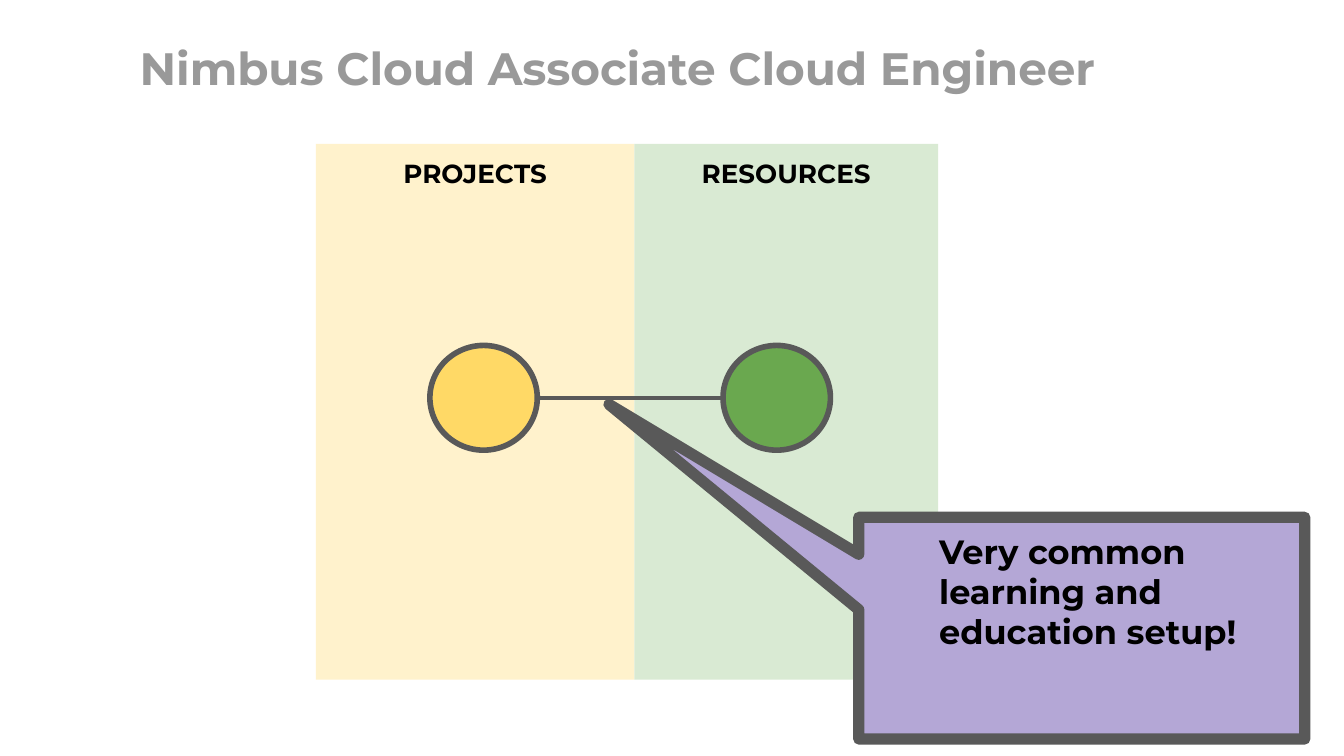
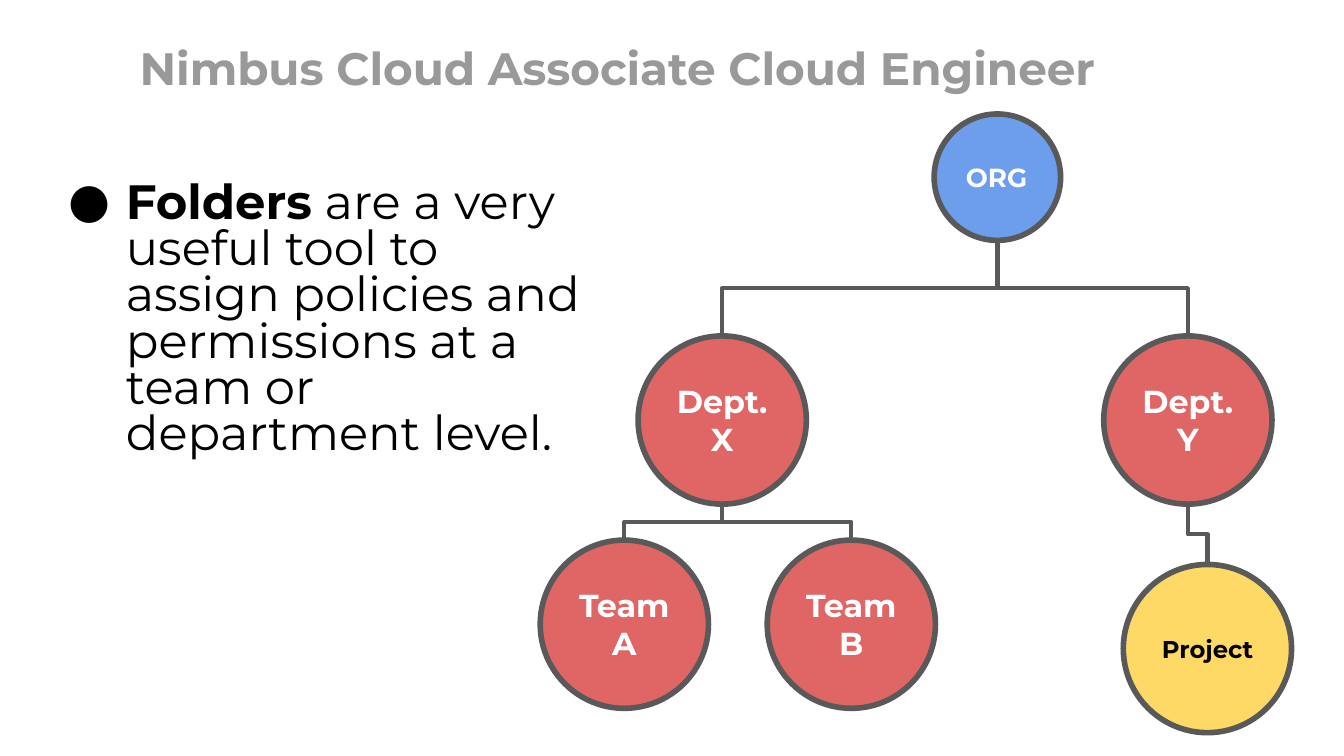
from lxml.etree import SubElement
from pptx import Presentation
from pptx.dml.color import RGBColor
from pptx.enum.shapes import MSO_CONNECTOR, MSO_SHAPE
from pptx.enum.text import MSO_ANCHOR, MSO_AUTO_SIZE, PP_ALIGN
from pptx.oxml.ns import qn
from pptx.util import Cm, Pt

FONT = "Montserrat"
TITLE = "Nimbus Cloud Associate Cloud Engineer"
BLACK = RGBColor(0x00, 0x00, 0x00)
WHITE = RGBColor(0xFF, 0xFF, 0xFF)
TITLE_GRAY = RGBColor(0x99, 0x99, 0x99)
OUTLINE = RGBColor(0x59, 0x59, 0x59)
CREAM = RGBColor(0xFF, 0xF2, 0xCC)
PALE_GREEN = RGBColor(0xD9, 0xEA, 0xD3)
YELLOW = RGBColor(0xFF, 0xD9, 0x66)
GREEN = RGBColor(0x6A, 0xA8, 0x4F)
PURPLE = RGBColor(0xB4, 0xA7, 0xD6)
BLUE = RGBColor(0x6D, 0x9E, 0xEB)
RED = RGBColor(0xE0, 0x66, 0x66)


class SlideBuilder:
    def __init__(self, deck):
        self.deck = deck
        self.page = None

    def new_page(self):
        self.page = self.deck.slides.add_slide(self.deck.slide_layouts[5])
        title = self.page.shapes.title
        title.left, title.top = Cm(2.39), Cm(0.43)
        title.width, title.height = Cm(21.64), Cm(1.6)
        self.set_frame(title, MSO_ANCHOR.BOTTOM)
        self.add_spans(title.text_frame.paragraphs[0], [(TITLE, True)], 24.3, TITLE_GRAY)

    def set_frame(self, box, anchor):
        frame = box.text_frame
        frame.word_wrap = True
        frame.auto_size = MSO_AUTO_SIZE.NONE
        frame.vertical_anchor = anchor
        frame.margin_left = frame.margin_right = Cm(0.25)
        frame.margin_top = frame.margin_bottom = Cm(0.25)

    def add_spans(self, para, spans, size, color, align=PP_ALIGN.LEFT):
        """Fill a paragraph from (text, bold) pairs."""
        para.alignment = align
        for text, bold in spans:
            span = para.add_run()
            span.text = text
            span.font.name = FONT
            span.font.size = Pt(size)
            span.font.bold = bold
            span.font.color.rgb = color

    def set_outline(self, line, width):
        line.color.rgb = OUTLINE
        line.width = Pt(width)
        SubElement(line._get_or_add_ln(), qn("a:round"))

    def shape(self, kind, left, top, width, height, fill, line=0, lines=(), size=14,
              color=BLACK, align=PP_ALIGN.CENTER, anchor=MSO_ANCHOR.TOP):
        shape = self.page.shapes.add_shape(kind, Cm(left), Cm(top), Cm(width), Cm(height))
        shape.shadow.inherit = False
        shape.fill.solid()
        shape.fill.fore_color.rgb = fill
        if line:
            self.set_outline(shape.line, line)
        else:
            shape.line.fill.background()
        self.set_frame(shape, anchor)
        frame = shape.text_frame
        for index, text in enumerate(lines):
            para = frame.add_paragraph() if index else frame.paragraphs[0]
            self.add_spans(para, [(text, True)], size, color, align)
        return shape

    def panel(self, left, width, fill, heading):
        self.shape(MSO_SHAPE.RECTANGLE, left, 2.72, width, 10.13, fill, lines=[heading])

    def circle(self, center, width, height, fill, **text):
        x, y = center
        self.shape(MSO_SHAPE.OVAL, x - width / 2, y - height / 2, width, height, fill,
                   line=3, anchor=MSO_ANCHOR.MIDDLE, **text)

    def elbow(self, x1, y1, x2, y2):
        connector = self.page.shapes.add_connector(
            MSO_CONNECTOR.ELBOW, Cm(x1), Cm(y1), Cm(x2), Cm(y2))
        self.set_outline(connector.line, 2.25)
        SubElement(connector._element.spPr, qn("a:effectLst"))
        return connector

    def branch(self, x1, y1, x2, y2):
        """Draw an elbow that leaves downwards: a sideways one, turned a quarter."""
        mid_x, mid_y = (x1 + x2) / 2, (y1 + y2) / 2
        side = 1 if x2 > x1 else -1
        half_w, half_h = side * (y2 - y1) / 2, abs(x2 - x1) / 2
        connector = self.elbow(mid_x + half_w, mid_y - half_h,
                               mid_x - half_w, mid_y + half_h)
        degrees = 270 if side > 0 else 90
        connector._element.spPr.find(qn("a:xfrm")).set("rot", str(degrees * 60000))

    def callout(self, left, top, width, height, tip, text):
        shape = self.shape(MSO_SHAPE.ROUNDED_RECTANGULAR_CALLOUT, left, top, width, height,
                           PURPLE, line=6, lines=[text], size=18, align=PP_ALIGN.LEFT)
        for index, value in enumerate((*tip, 0)):
            shape.adjustments[index] = value
        props = shape.text_frame.paragraphs[0]._p.get_or_add_pPr()
        props.set("marL", str(Cm(1.27)))

    def bullet(self, left, top, width, height, spans):
        box = self.page.shapes.add_textbox(Cm(left), Cm(top), Cm(width), Cm(height))
        self.set_frame(box, MSO_ANCHOR.TOP)
        para = box.text_frame.paragraphs[0]
        para.line_spacing = 0.8
        props = para._p.get_or_add_pPr()
        props.set("marL", str(Cm(1.27)))
        props.set("indent", str(Cm(-1.09)))
        color = SubElement(props, qn("a:buClr"))
        SubElement(color, qn("a:srgbClr"), val=str(BLACK))
        SubElement(props, qn("a:buFont"), typeface=FONT)
        SubElement(props, qn("a:buChar"), char="●")
        self.add_spans(para, spans, 25.8, BLACK)


def build_projects_page(builder):
    builder.new_page()
    builder.panel(5.97, 6.02, CREAM, "PROJECTS")
    builder.panel(11.99, 5.74, PALE_GREEN, "RESOURCES")
    project_x, resource_x, y, width = 9.14, 14.68, 7.52, 2.03
    builder.circle((project_x, y), width, 1.98, YELLOW)
    builder.circle((resource_x, y), width, 1.98, GREEN)
    builder.elbow(project_x + width / 2, y, resource_x - width / 2, y)
    builder.callout(16.23, 9.78, 8.43, 4.19, (-1.06, -1.01),
                    "Very common learning and education setup!")


def build_folders_page(builder):
    builder.new_page()
    builder.bullet(0.86, 3.2, 10.39, 9.5, [
        ("Folders", True),
        (" are a very useful tool to assign policies and permissions"
         " at a team or department level.", False)])
    folder = {"fill": RED, "size": 17, "color": WHITE}
    # name: (center, diameter, lines, style)
    nodes = {
        "org": ((18.85, 3.35), 2.39, ["ORG"],
                {"fill": BLUE, "color": WHITE, "align": PP_ALIGN.LEFT}),
        "dept x": ((13.65, 7.94), 3.18, ["Dept. X"], folder),
        "dept y": ((22.45, 7.94), 3.18, ["Dept. Y"], folder),
        "team a": ((11.8, 11.8), 3.18, ["Team", "A"], folder),
        "team b": ((16.09, 11.8), 3.18, ["Team", "B"], folder),
        "project": ((22.82, 12.26), 3.18, ["Project"], {"fill": YELLOW, "size": 13}),
    }
    for center, diameter, lines, style in nodes.values():
        builder.circle(center, diameter, diameter, lines=lines, **style)
    for parent, child in (("org", "dept y"), ("org", "dept x"), ("dept x", "team a"),
                          ("dept x", "team b"), ("dept y", "project")):
        (x1, y1), parent_size = nodes[parent][:2]
        (x2, y2), child_size = nodes[child][:2]
        builder.branch(x1, y1 + parent_size / 2, x2, y2 - child_size / 2)


def main():
    deck = Presentation()
    deck.slide_width, deck.slide_height = Cm(25.4), Cm(14.29)
    builder = SlideBuilder(deck)
    build_projects_page(builder)
    build_folders_page(builder)
    deck.save("out.pptx")


if __name__ == "__main__":
    main()
